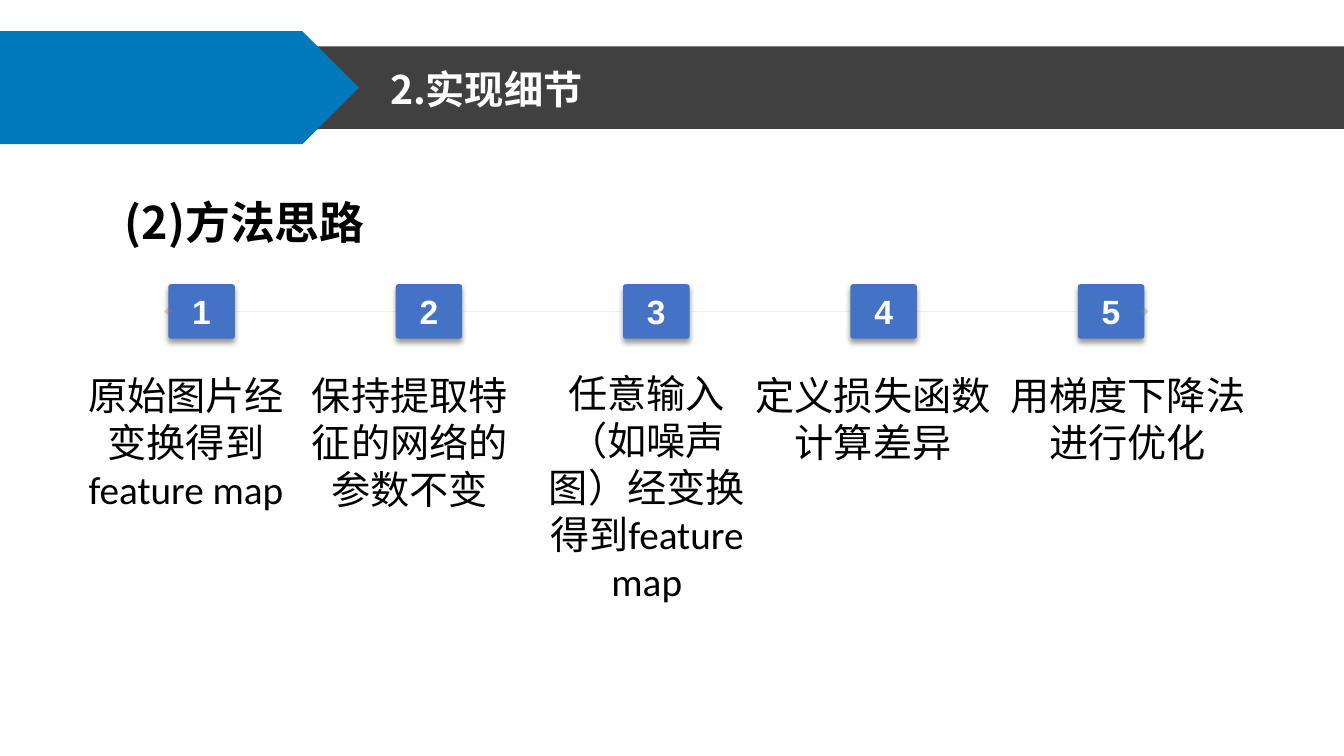
import pptx
import pptx.dml.color
import pptx.enum.shapes
import pptx.enum.text
import pptx.oxml
import pptx.oxml.ns
import pptx.util
from lxml import etree

Inches = pptx.util.Inches
Shapes = pptx.enum.shapes.MSO_SHAPE
Align = pptx.enum.text.PP_ALIGN
Anchor = pptx.enum.text.MSO_ANCHOR
qn = pptx.oxml.ns.qn


def color(value):
    return pptx.dml.color.RGBColor.from_string(value)


class Slide:
    cjk_font = "Noto Sans CJK SC"
    dark, blue, step_blue = "404040", "0079BF", "4472C4"
    white, black, gray = "FFFFFF", "000000", "808080"

    def __init__(self, deck):
        self.page = deck.slides.add_slide(deck.slide_layouts[6])

    def shape(self, kind, left, top, width, height, fill):
        shape = self.page.shapes.add_shape(
            kind, Inches(left), Inches(top), Inches(width), Inches(height))
        shape.shadow.inherit = False
        shape.fill.solid()
        shape.fill.fore_color.rgb = color(fill)
        shape.line.fill.background()
        return shape

    def fill_text(self, frame, lines, size, font, ink, bold=False,
                  align=Align.LEFT, spacing=None):
        frame.word_wrap = True
        for index, line in enumerate(lines):
            para = frame.add_paragraph() if index else frame.paragraphs[0]
            para.alignment = align
            if spacing:
                para.line_spacing = spacing
            span = para.add_run()
            span.text = line
            span.font.size = pptx.util.Pt(size)
            span.font.name = font
            span.font.bold = bold
            span.font.color.rgb = color(ink)
            # East Asian characters take their own typeface
            latin = span.font._element.find(qn("a:latin"))
            east = etree.Element(qn("a:ea"), typeface=self.cjk_font)
            latin.addnext(east)

    def text(self, left, top, width, height, lines, size, font, ink,
             anchor=Anchor.TOP, **style):
        box = self.page.shapes.add_textbox(
            Inches(left), Inches(top), Inches(width), Inches(height))
        box.text_frame.vertical_anchor = anchor
        self.fill_text(box.text_frame, lines, size, font, ink, **style)

    def step(self, left, top, width, height, number):
        badge = self.shape(Shapes.ROUNDED_RECTANGLE, left, top, width, height,
                           self.step_blue)
        badge.adjustments[0] = 0.05
        badge.text_frame.vertical_anchor = Anchor.MIDDLE
        self.fill_text(badge.text_frame, [str(number)], 24, "Arial",
                       self.white, bold=True, align=Align.CENTER)
        # Soft shadow straight below
        effects = badge._element.spPr.find(qn("a:effectLst"))
        shadow = etree.SubElement(
            effects, qn("a:outerShdw"), blurRad=str(pptx.util.Pt(4)),
            dist=str(pptx.util.Pt(3)), dir="5400000", rotWithShape="0")
        tint = etree.SubElement(shadow, qn("a:srgbClr"), val=self.black)
        etree.SubElement(tint, qn("a:alpha"), val="40000")

    def timeline(self, start, end, y):
        line = self.page.shapes.add_connector(
            pptx.enum.shapes.MSO_CONNECTOR.STRAIGHT,
            Inches(start), Inches(y), Inches(end), Inches(y))
        line.line.width = pptx.util.Pt(0.25)
        line.line.color.rgb = color(self.gray)
        stroke = line._element.spPr.find(qn("a:ln"))
        tint = stroke.find(qn("a:solidFill")).find(qn("a:srgbClr"))
        etree.SubElement(tint, qn("a:alpha"), val="33000")
        for end_tag in ("a:headEnd", "a:tailEnd"):
            etree.SubElement(stroke, qn(end_tag), type="diamond")
        etree.SubElement(line._element.spPr, qn("a:effectLst"))


def main():
    deck = pptx.Presentation()
    deck.slide_width, deck.slide_height = Inches(13.33), Inches(7.5)
    slide = Slide(deck)

    # Title band
    slide.shape(Shapes.RECTANGLE, 2.93, 0.46, 10.4, 0.82, slide.dark)
    slide.shape(Shapes.PENTAGON, 0, 0.31, 3.56, 1.12, slide.blue)
    slide.text(3.77, 0.61, 7.26, 0.6, ["2.实现细节"], 28, slide.cjk_font,
               slide.white, anchor=Anchor.MIDDLE, bold=True, spacing=0.9)

    # Section heading
    slide.text(1.14, 1.62, 9.64, 0.78, ["(2)方法思路"], 32, slide.cjk_font,
               slide.black, bold=True, spacing=1.5)

    # Numbered steps on a line
    first, pitch, width, height, top = 1.67, 2.255, 0.66, 0.54, 2.82
    for index in range(5):
        slide.step(first + index * pitch, top, width, height, index + 1)
    slide.timeline(first, first + 4 * pitch + width, top + height / 2)

    # Step descriptions: left, top, width, height, lines
    descriptions = [
        (0.63, 3.63, 2.43, 1.51, ["原始图片经变换得到", "feature map"]),
        (2.85, 3.63, 2.43, 1.51, ["保持提取特征的网络的参数不变"]),
        (5.2, 3.61, 2.43, 1.99, ["任意输入（如噪声图）经变换得到feature map"]),
        (7.3, 3.63, 2.72, 1.04, ["定义损失函数计算差异"]),
        (9.84, 3.63, 2.69, 1.04, ["用梯度下降法进行优化"]),
    ]
    for *place, lines in descriptions:
        slide.text(*place, lines, 28, "Calibri", slide.black,
                   align=Align.CENTER)

    deck.save("out.pptx")


if __name__ == "__main__":
    main()
